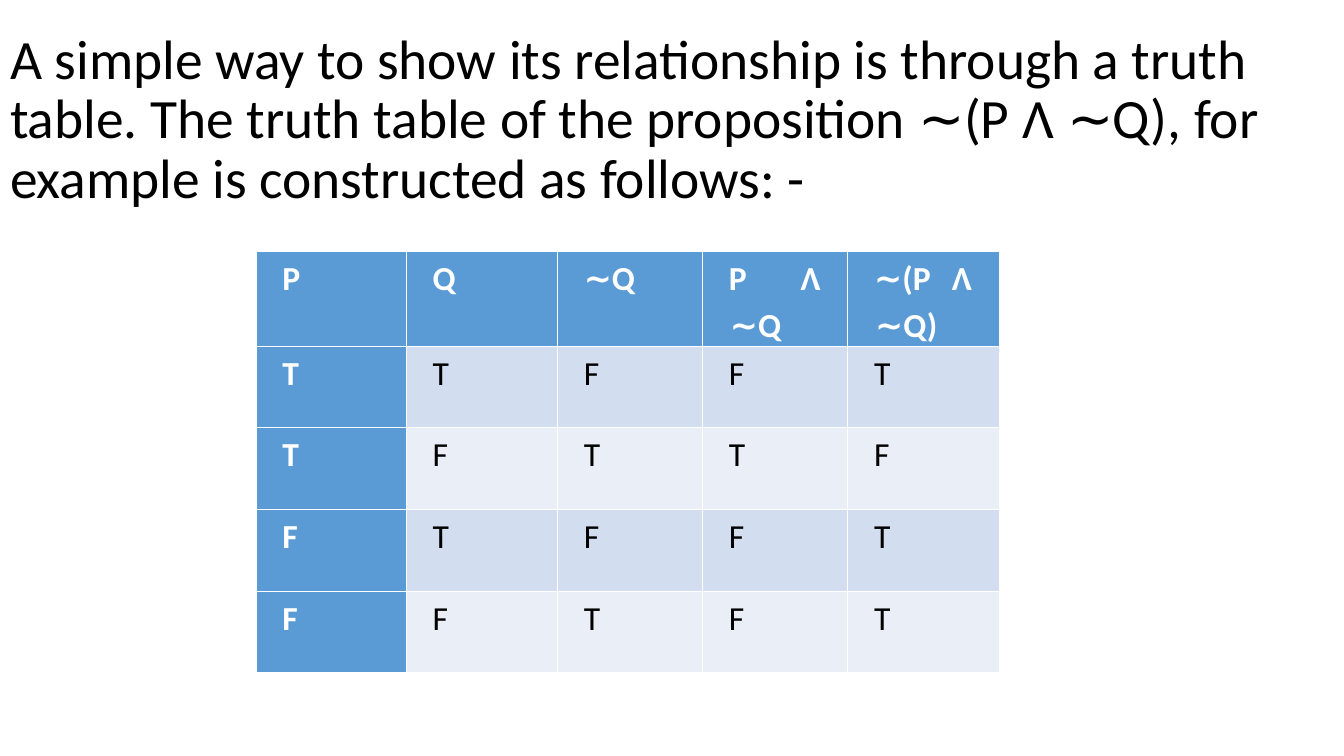
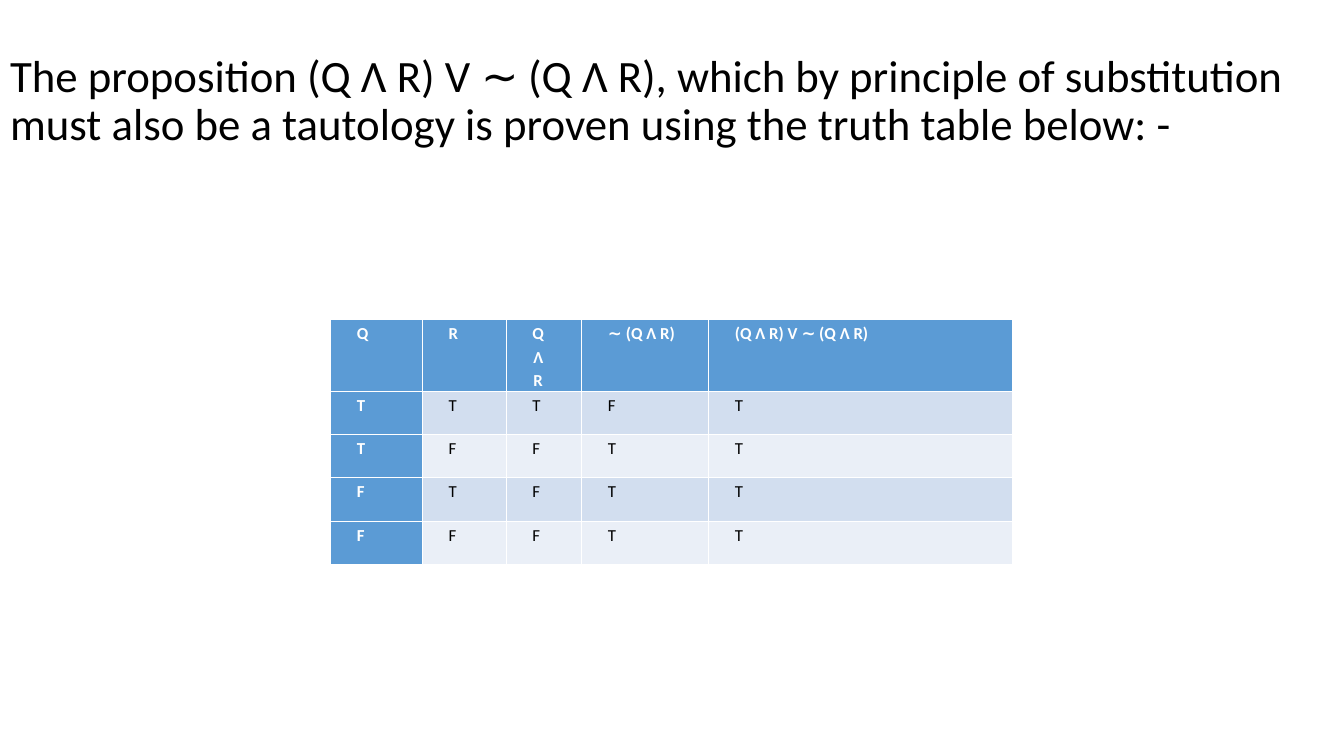
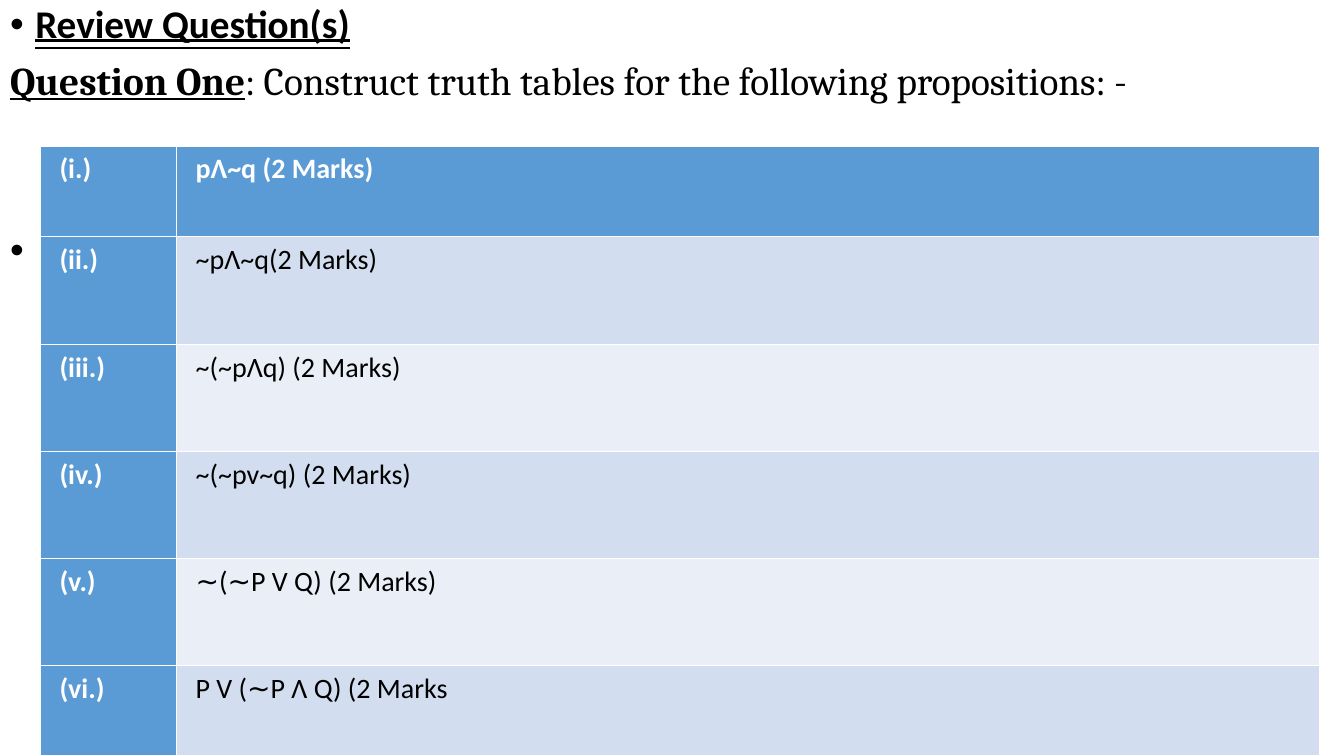
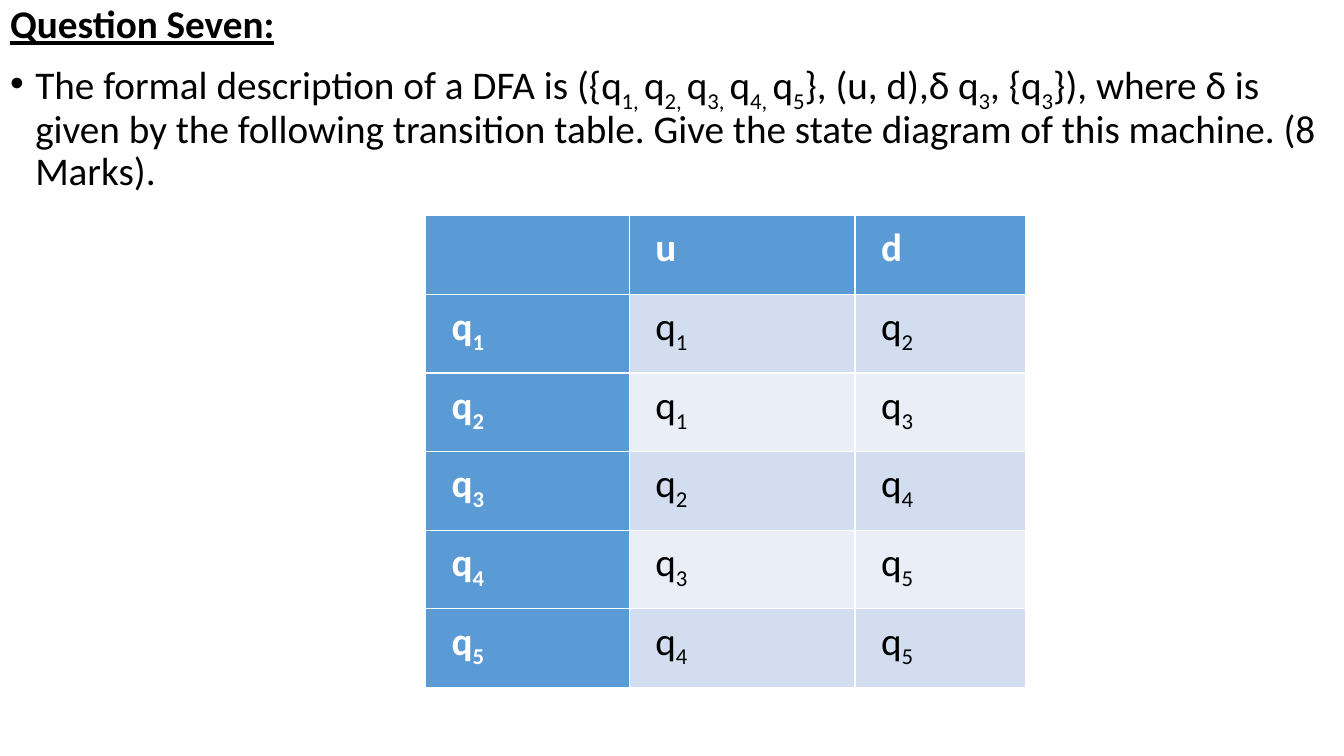
from dataclasses import dataclass

import pptx
import pptx.dml.color
import pptx.enum.text
import pptx.oxml
import pptx.oxml.ns
import pptx.util
from pptx.util import Inches

SLIDE_WIDTH, SLIDE_HEIGHT = 13.33, 7.5
TITLE_ONLY, TITLE_AND_CONTENT = 5, 1


@dataclass(frozen=True)
class Theme:
    font: str = "Calibri"
    serif: str = "Cambria"
    text: str = "000000"
    inverse: str = "FFFFFF"
    accent: str = "5B9BD5"
    bands: tuple = ("D2DEEF", "EAEFF7")
    title_size: float = 39.6
    long_title_size: float = 32
    body_size: float = 28
    large_cell: float = 28
    medium_cell: float = 24
    cell: float = 20
    small_cell: float = 12
    title_spacing: float = 0.9
    cell_spacing: float = 1.15
    paragraph_gap: float = 10


THEME = Theme()


def color(value):
    return pptx.dml.color.RGBColor.from_string(value)


def write(paragraph, text, *, size, font=THEME.font, fill=THEME.text, bold=False, underline=False):
    """Add runs to a paragraph; every second part between bars is a subscript."""
    for index, part in enumerate(text.split("|")):
        if not part:
            continue
        run = paragraph.add_run()
        run.text = part
        run.font.name = font
        run.font.size = pptx.util.Pt(size)
        run.font.color.rgb = color(fill)
        run.font.bold = bold
        run.font.underline = underline
        if index % 2:
            run._r.get_or_add_rPr().set("baseline", "-25000")


def set_indents(paragraph, left, first, right=0):
    properties = paragraph._p.get_or_add_pPr()
    for name, length in (("marL", left), ("marR", right), ("indent", first)):
        properties.set(name, str(int(Inches(length))))


def set_bullet(paragraph, character):
    tag = "a:buChar" if character else "a:buNone"
    bullet = pptx.oxml.parse_xml(f"<{tag} {pptx.oxml.ns.nsdecls('a')}/>")
    if character:
        bullet.set("char", character)
    paragraph._p.get_or_add_pPr().append(bullet)


class Deck:
    def __init__(self, theme):
        self.theme = theme
        self.presentation = pptx.Presentation()
        self.presentation.slide_width = Inches(SLIDE_WIDTH)
        self.presentation.slide_height = Inches(SLIDE_HEIGHT)
        self.slide = None

    def add_slide(self, layout):
        layouts = self.presentation.slide_layouts
        self.slide = self.presentation.slides.add_slide(layouts[layout])

    def place(self, shape, top, height):
        """Stretch a placeholder over the slide width and return its text frame."""
        shape.left, shape.top = Inches(0), Inches(top)
        shape.width, shape.height = Inches(SLIDE_WIDTH), Inches(height)
        frame = shape.text_frame
        frame.word_wrap = True
        frame.auto_size = pptx.enum.text.MSO_AUTO_SIZE.NONE
        return frame

    def title(self, text, top, height, size, bottom_inset):
        self.add_slide(TITLE_ONLY)
        frame = self.place(self.slide.shapes.title, top, height)
        frame.vertical_anchor = pptx.enum.text.MSO_ANCHOR.MIDDLE
        frame.margin_bottom = Inches(bottom_inset)
        paragraph = frame.paragraphs[0]
        paragraph.alignment = pptx.enum.text.PP_ALIGN.LEFT
        paragraph.line_spacing = self.theme.title_spacing
        write(paragraph, text, size=size)

    def body(self):
        self.add_slide(TITLE_AND_CONTENT)
        title = self.slide.shapes.title._element
        title.getparent().remove(title)
        return self.place(self.slide.placeholders[1], 0, SLIDE_HEIGHT)

    def body_paragraph(self, frame, bullet=None, gap=THEME.paragraph_gap):
        first = not frame.paragraphs[0].runs
        paragraph = frame.paragraphs[0] if first else frame.add_paragraph()
        paragraph.line_spacing = self.theme.title_spacing
        paragraph.space_before = pptx.util.Pt(0 if first else gap)
        indent = 0.25 if bullet else 0
        set_indents(paragraph, indent, -indent)
        set_bullet(paragraph, bullet)
        return paragraph

    def table(self, rows, left, top, widths, heights, size, side_margins=(0.07, 0.08)):
        frame = self.slide.shapes.add_table(
            len(rows), len(widths), Inches(left), Inches(top),
            Inches(sum(widths)), Inches(sum(heights)))
        table = frame.table
        table.first_col = True
        for column, width in zip(table.columns, widths):
            column.width = Inches(width)
        for row, height in zip(table.rows, heights):
            row.height = Inches(height)
        for row_index, row in enumerate(rows):
            for column_index, text in enumerate(row):
                heading = row_index == 0 or column_index == 0
                band = self.theme.bands[(row_index - 1) % 2]
                cell = table.cell(row_index, column_index)
                cell.fill.solid()
                cell.fill.fore_color.rgb = color(self.theme.accent if heading else band)
                cell.margin_left, cell.margin_right = map(Inches, side_margins)
                cell.margin_top, cell.margin_bottom = Inches(0.01), Inches(0)
                paragraph = cell.text_frame.paragraphs[0]
                paragraph.alignment = pptx.enum.text.PP_ALIGN.JUSTIFY
                paragraph.line_spacing = self.theme.cell_spacing
                set_indents(paragraph, 0.2, -0.01, right=0.19)
                write(paragraph, text, size=size, bold=heading,
                      fill=self.theme.inverse if heading else self.theme.text)


def add_truth_table(deck):
    deck.title("A simple way to show its relationship is through a truth table. "
               "The truth table of the proposition ∼(P Λ ∼Q), for example is "
               "constructed as follows: -",
               0.86, 1.28, THEME.title_size, bottom_inset=0.65)
    rows = [("P", "Q", "∼Q", "P Λ ∼Q", "∼(P Λ ∼Q)"), *("TTFFT", "TFTTF", "FTFFT", "FFTFT")]
    deck.table(rows, 2.54, 2.49, (1.49, 1.5, 1.44, 1.44, 1.5),
               (0.94, *[0.81] * 4), THEME.medium_cell)


def add_tautology(deck):
    deck.title("The proposition (Q Λ R) V ∼ (Q Λ R), which by principle of substitution "
               "must also be a tautology is proven using the truth table below: -",
               0.66, 1.19, THEME.long_title_size, bottom_inset=0.54)
    rows = [("Q", "R", "Q Λ R", "∼ (Q Λ R)", "(Q Λ R) V ∼ (Q Λ R)"),
            *("TTTFT", "TFFTT", "FTFTT", "FFFTT")]
    deck.table(rows, 3.28, 3.17, (0.91, 0.83, 0.75, 1.26, 3.01),
               (0.7, *[0.43] * 4), THEME.small_cell)


def add_review_questions(deck):
    size = THEME.body_size
    frame = deck.body()
    write(deck.body_paragraph(frame, "•"), "Review Question(s)", size=size, bold=True,
          underline=pptx.enum.text.MSO_UNDERLINE.DOUBLE_LINE)
    question = deck.body_paragraph(frame)
    write(question, "Question One", size=size, font=THEME.serif, bold=True, underline=True)
    write(question, ": Construct truth tables for the following propositions: -",
          size=size, font=THEME.serif)
    write(deck.body_paragraph(frame, "•", gap=91), " ", size=size, bold=True)
    rows = [("(i.)", "pΛ~q (2 Marks)"),
            ("(ii.)", "~pΛ~q(2 Marks)"),
            ("(iii.)", "~(~pΛq) (2 Marks)"),
            ("(iv.)", "~(~pv~q) (2 Marks)"),
            ("(v.)", "∼(∼P V Q) (2 Marks)"),
            ("(vi.)", "P V (∼P Λ Q) (2 Marks")]
    deck.table(rows, 0.4, 1.45, (1.35, 11.34), (0.9, 1.07, *[1.06] * 3, 0.9),
               THEME.cell, side_margins=(0, 0))


def add_state_machine(deck):
    size = THEME.body_size
    frame = deck.body()
    write(deck.body_paragraph(frame), "Question Seven:", size=size, bold=True, underline=True)
    write(deck.body_paragraph(frame, "•"),
          "The formal description of a DFA is ({q|1, |q|2, |q|3, |q|4, |q|5|}, (u, d),δ q|3|, "
          "{q|3|}), where δ is given by the following transition table. Give the state "
          "diagram of this machine. (8 Marks).", size=size)
    transitions = ("112", "213", "324", "435", "545")
    rows = [("", "u", "d"), *([f"q|{state}" for state in line] for line in transitions)]
    deck.table(rows, 4.22, 2.14, (2.02, 2.24, 1.69), [0.78] * 6, THEME.large_cell)


def main():
    deck = Deck(THEME)
    add_truth_table(deck)
    add_tautology(deck)
    add_review_questions(deck)
    add_state_machine(deck)
    deck.presentation.save("out.pptx")


if __name__ == "__main__":
    main()
